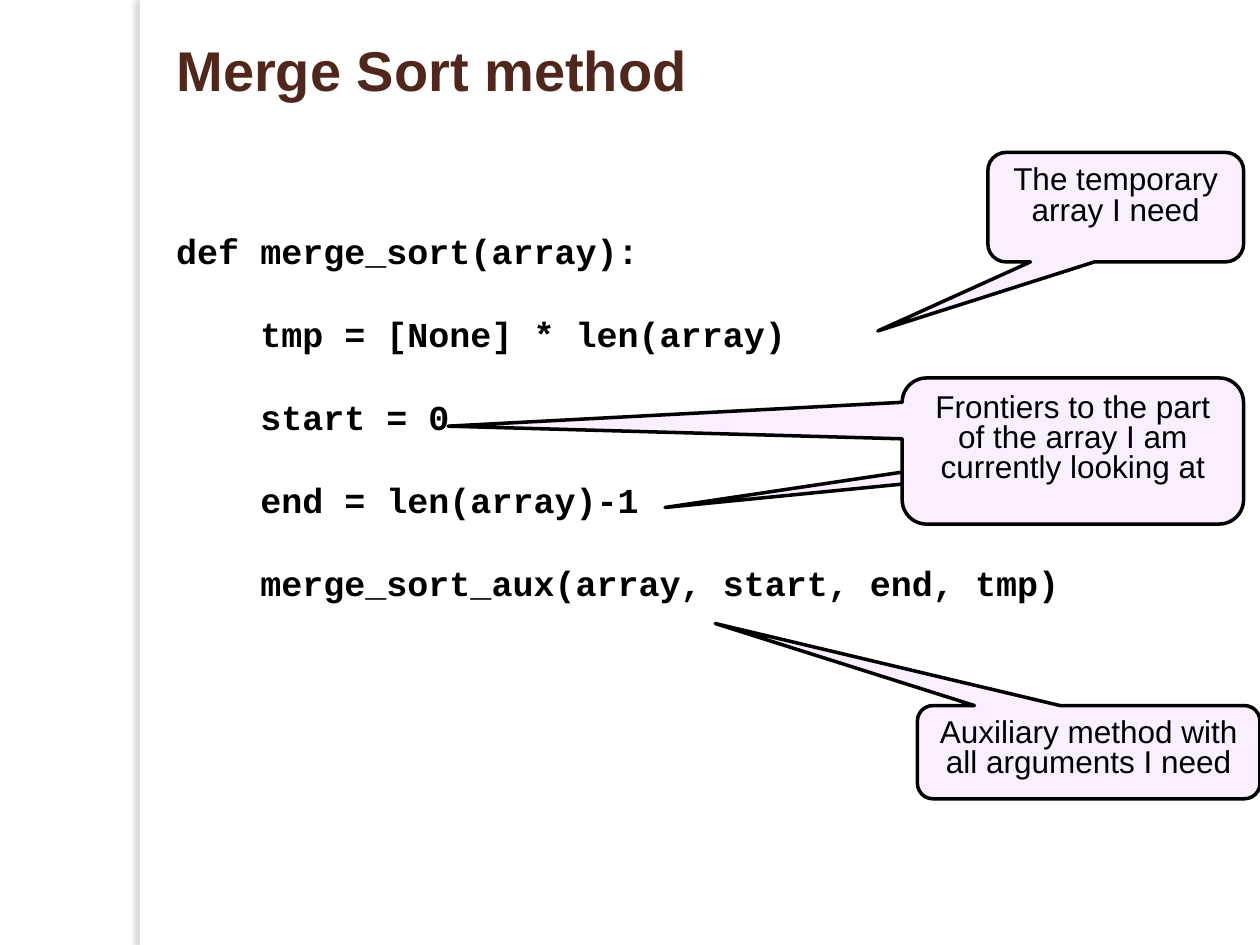
"""Build the Merge Sort method slide with its annotated code."""
from lxml import etree
from pptx import Presentation
from pptx import util as u
from pptx.dml.color import RGBColor
from pptx.enum import shapes, text
from pptx.oxml import ns

BLACK = RGBColor(0x00, 0x00, 0x00)
WHITE = RGBColor(0xFF, 0xFF, 0xFF)
BROWN = RGBColor(0x4F, 0x27, 0x1C)
LILAC = RGBColor(0xF9, 0xEF, 0xFE)
SHADOW = RGBColor(0x73, 0x6F, 0x63)

CODE = [
    "def merge_sort(array):",
    "    tmp = [None] * len(array)",
    "    start = 0",
    "    end = len(array)-1",
    "    merge_sort_aux(array, start, end, tmp)",
]


def write_text(shape, lines, *, size, font="Arial", color=BLACK, bold=False,
               align=text.PP_ALIGN.LEFT, gap=0, top=3.6, bottom=3.6):
    """Fill a shape with one formatted paragraph per line."""
    frame = shape.text_frame
    frame.word_wrap = True
    frame.auto_size = text.MSO_AUTO_SIZE.NONE
    frame.vertical_anchor = text.MSO_ANCHOR.TOP
    frame.margin_left = frame.margin_right = u.Pt(7.2)
    frame.margin_top, frame.margin_bottom = u.Pt(top), u.Pt(bottom)
    for index, line in enumerate(lines):
        paragraph = frame.add_paragraph() if index else frame.paragraphs[0]
        paragraph.text = line
        paragraph.alignment = align
        paragraph.line_spacing = 0.8
        paragraph.space_before = u.Pt(gap if index else 0)
        paragraph.font.name = font
        paragraph.font.size = u.Pt(size)
        paragraph.font.bold = bold
        paragraph.font.color.rgb = color


class SlideBuilder:
    """Hold the callout style and the current slide."""

    fill = LILAC
    outline = BLACK
    outline_width = 2

    def __init__(self, slide):
        self.slide = slide

    def title(self, wording, left, top, width, height):
        """Place and format the title placeholder."""
        shape = self.slide.shapes.title
        shape.left, shape.top = u.Pt(left), u.Pt(top)
        shape.width, shape.height = u.Pt(width), u.Pt(height)
        write_text(shape, [wording], size=32, color=BROWN, bold=True, top=6.6)

    def side_strip(self, left, width, height):
        """Add the white strip that casts a shadow to the left."""
        strip = self.slide.shapes.add_shape(
            shapes.MSO_SHAPE.RECTANGLE, u.Pt(left), 0, u.Pt(width), u.Pt(height))
        strip.fill.solid()
        strip.fill.fore_color.rgb = WHITE
        strip.line.fill.background()
        strip.shadow.inherit = False
        effects = strip._element.spPr.find(ns.qn("a:effectLst"))
        shadow = etree.SubElement(
            effects, ns.qn("a:outerShdw"), blurRad=str(u.Pt(3)),
            dist=str(u.Pt(3)), dir="10800000", algn="tl", rotWithShape="0")
        color = etree.SubElement(shadow, ns.qn("a:srgbClr"), val=str(SHADOW))
        etree.SubElement(color, ns.qn("a:alpha"), val="25000")

    def code(self, lines, left, top, width, height):
        """Add a code listing."""
        box = self.slide.shapes.add_textbox(
            u.Pt(left), u.Pt(top), u.Pt(width), u.Pt(height))
        write_text(box, lines, size=20, font="Courier New", bold=True, gap=28.2)

    def callout(self, wording, left, top, width, height, tip):
        """Add a rounded callout whose tip is relative to its centre."""
        shape = self.slide.shapes.add_shape(
            shapes.MSO_SHAPE.ROUNDED_RECTANGULAR_CALLOUT,
            u.Pt(left), u.Pt(top), u.Pt(width), u.Pt(height))
        shape.adjustments[0], shape.adjustments[1] = tip
        shape.fill.solid()
        shape.fill.fore_color.rgb = self.fill
        shape.line.color.rgb = self.outline
        shape.line.width = u.Pt(self.outline_width)
        shape.shadow.inherit = False
        if wording:
            write_text(shape, [wording], size=18, align=text.PP_ALIGN.CENTER,
                       top=5.2, bottom=0)


def main():
    """Compose and save the slide."""
    presentation = Presentation()
    presentation.slide_width, presentation.slide_height = u.Pt(720), u.Pt(540)
    slide = presentation.slides.add_slide(presentation.slide_layouts[5])
    builder = SlideBuilder(slide)
    builder.title("Merge Sort method", 93.6, 20.9, 544.3, 56.9)
    builder.side_strip(79.9, 5.8, 540)
    builder.callout("", 554.4, 243.4, 128.2, 35.3, (-1.86, 0.82))
    builder.code(CODE, 93.6, 132, 583.9, 273.6)
    builder.callout("Frontiers to the part of the array I am currently looking at",
                    515.5, 216, 195.1, 83.5, (-1.83, -0.17))
    builder.callout("The temporary array I need",
                    564.5, 87.1, 146.2, 62.6, (-0.93, 1.13))
    builder.callout("Auxiliary method with all arguments I need",
                    524.2, 403.2, 195.8, 53.3, (-1.09, -1.38))
    presentation.save("out.pptx")


if __name__ == "__main__":
    main()
